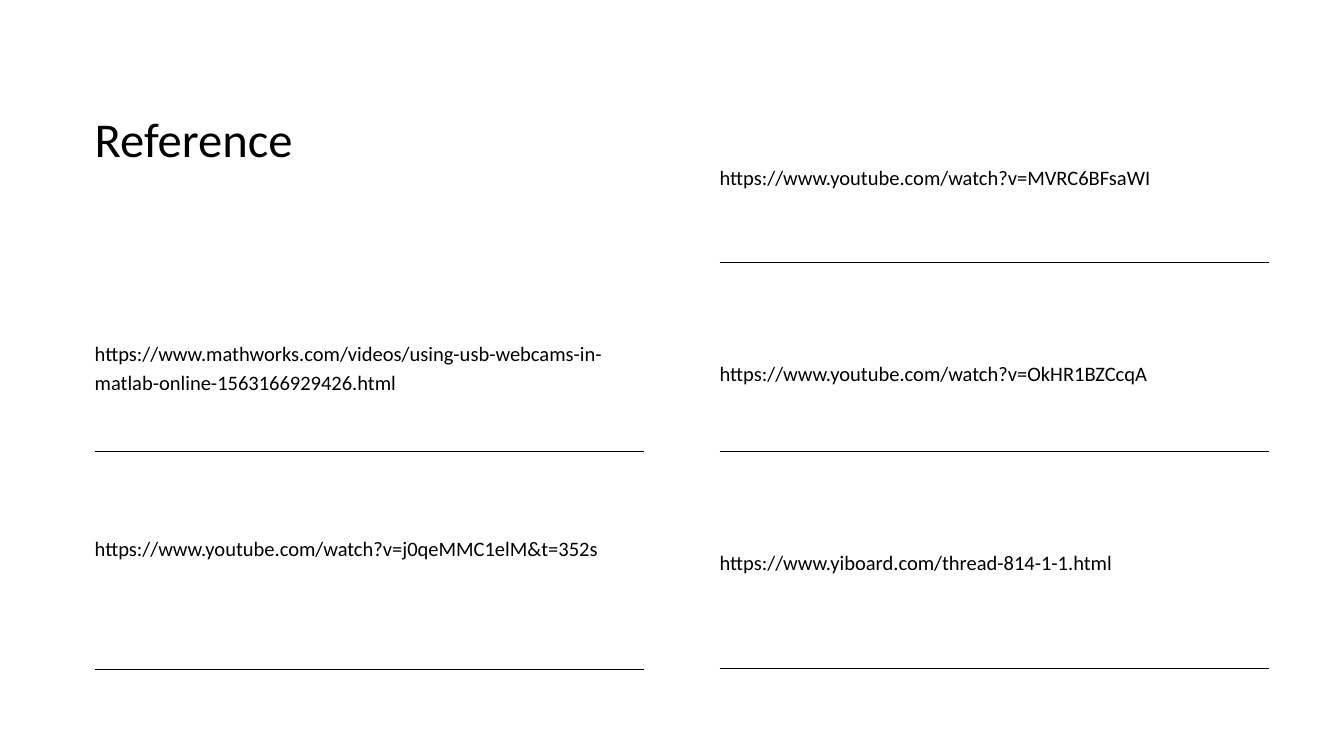
from dataclasses import dataclass

from lxml.etree import SubElement
from pptx import Presentation
from pptx.dml.color import RGBColor
from pptx.enum.shapes import MSO_CONNECTOR
from pptx.enum.text import MSO_AUTO_SIZE
from pptx.oxml.ns import qn
from pptx.util import Inches, Pt


@dataclass(frozen=True)
class Theme:
    font: str = "Calibri"
    ink: RGBColor = RGBColor(0, 0, 0)
    paper: RGBColor = RGBColor(255, 255, 255)
    title_size: float = 52.1
    link_size: float = 22
    leading: float = 1.4
    rule_width: float = 0.75


THEME = Theme()
LEFT, RIGHT = 1.41, 10.71  # column edges
COLUMN_WIDTH = 8.17

# Column, text top, text height, rule height, link
REFERENCES = [
    (RIGHT, 2.4, 0.4, 3.9, "https://www.youtube.com/watch?v=MVRC6BFsaWI"),
    (LEFT, 5.01, 0.82, 6.71,
     "https://www.mathworks.com/videos/using-usb-webcams-in-matlab-online-1563166929426.html"),
    (RIGHT, 5.31, 0.4, 6.71, "https://www.youtube.com/watch?v=OkHR1BZCcqA"),
    (LEFT, 7.91, 0.82, 9.96, "https://www.youtube.com/watch?v=j0qeMMC1elM&t=352s"),
    (RIGHT, 8.12, 0.4, 9.95, "https://www.yiboard.com/thread-814-1-1.html"),
]


def add_text(slide, left, top, height, text, size):
    sp = slide.shapes.add_textbox(Inches(left), Inches(top),
                                  Inches(COLUMN_WIDTH), Inches(height))
    tf = sp.text_frame
    tf.margin_left = tf.margin_right = tf.margin_top = tf.margin_bottom = 0
    tf.word_wrap = True
    tf.auto_size = MSO_AUTO_SIZE.SHAPE_TO_FIT_TEXT
    p = tf.paragraphs[0]
    p.line_spacing = Pt(round(size * THEME.leading, 1))
    r = p.add_run()
    r.text = text
    r.font.name = THEME.font
    r.font.size = Pt(size)
    r.font.color.rgb = THEME.ink


def add_rule(slide, left, y):
    line = slide.shapes.add_connector(MSO_CONNECTOR.STRAIGHT, Inches(left), Inches(y),
                                      Inches(left + COLUMN_WIDTH), Inches(y))
    line.line.color.rgb = THEME.ink
    line.line.width = Pt(THEME.rule_width)
    SubElement(line._element.spPr, qn("a:effectLst"))  # no shadow


def main():
    prs = Presentation()
    prs.slide_width, prs.slide_height = Inches(20), Inches(11.25)
    slide = prs.slides.add_slide(prs.slide_layouts[6])
    slide.background.fill.solid()
    slide.background.fill.fore_color.rgb = THEME.paper

    # Title
    add_text(slide, LEFT, 1.47, 0.96, "Reference", THEME.title_size)

    # Links, each above its rule
    for left, top, height, rule_y, link in REFERENCES:
        add_text(slide, left, top, height, link, THEME.link_size)
        add_rule(slide, left, rule_y)

    prs.save("out.pptx")


if __name__ == "__main__":
    main()
